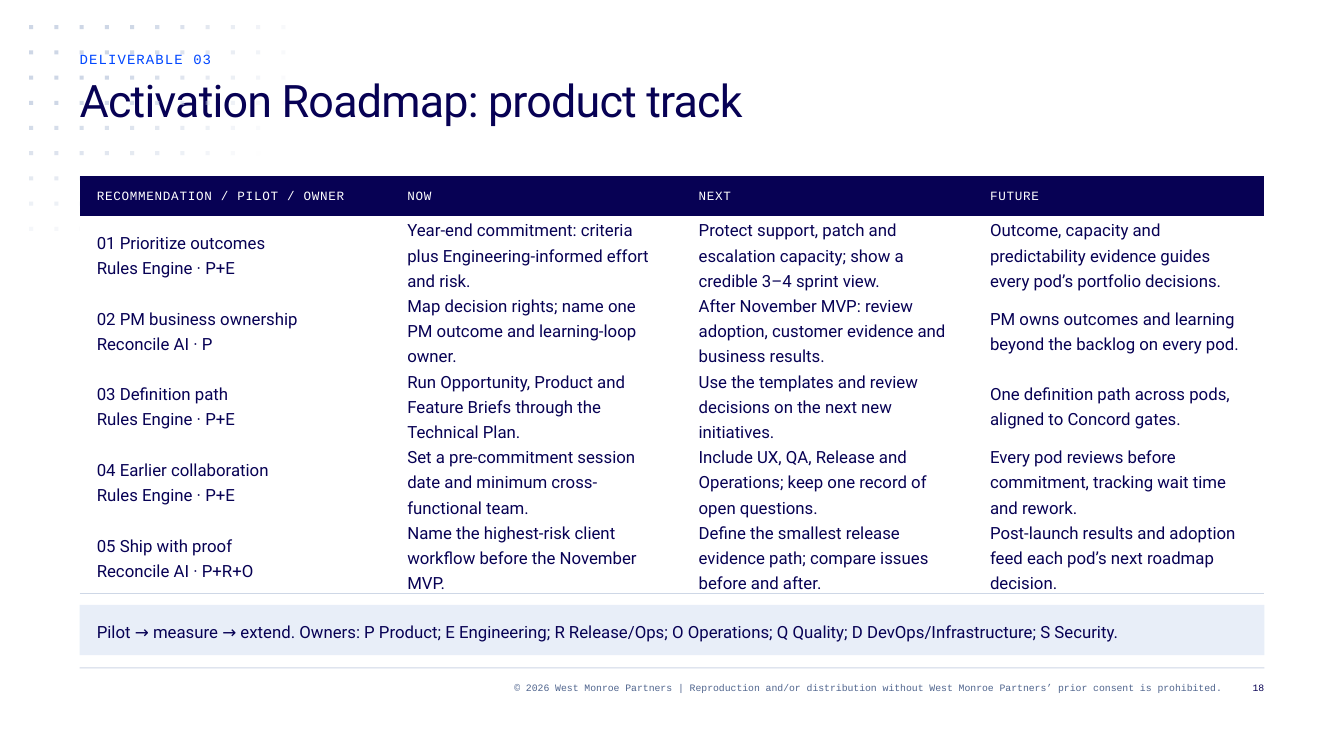
from dataclasses import dataclass
from math import hypot

from lxml.etree import SubElement
from pptx import Presentation
from pptx.dml.color import RGBColor
from pptx.enum.shapes import MSO_SHAPE
from pptx.enum.text import MSO_ANCHOR, MSO_AUTO_SIZE, PP_ALIGN
from pptx.oxml import parse_xml
from pptx.oxml.ns import nsdecls, qn
from pptx.util import Inches, Pt


@dataclass(frozen=True)
class TextStyle:
    """Describe the type used for one kind of text."""
    font: str
    size: float
    leading: float
    color: str
    spacing: int = 0


@dataclass(frozen=True)
class Theme:
    """Hold the colours and type sizes of the slide."""
    navy: str = "070154"
    rule: str = "CED7E6"
    pale: str = "E8EEF8"
    white: str = "FFFFFF"
    title: TextStyle = TextStyle("Roboto", 32, 36, "070154", -60)
    kicker: TextStyle = TextStyle("Courier New", 10, 12, "0047FF", 80)
    header: TextStyle = TextStyle("Courier New", 9, 12, "FFFFFF", 50)
    body: TextStyle = TextStyle("Roboto", 12, 18, "070154")
    footer: TextStyle = TextStyle("Courier New", 7, 9, "50658E")
    number: TextStyle = TextStyle("Courier New", 7, 9, "070154")


THEME = Theme()
PADDING = 0.17

HEADINGS = ["RECOMMENDATION / PILOT / OWNER", "NOW", "NEXT", "FUTURE"]
ROADMAP = [
    ["01 Prioritize outcomes\nRules Engine · P+E",
     "Year-end commitment: criteria plus Engineering-informed effort and risk.",
     "Protect support, patch and escalation capacity; show a credible 3–4 sprint view.",
     "Outcome, capacity and predictability evidence guides every pod’s portfolio decisions."],
    ["02 PM business ownership\nReconcile AI · P",
     "Map decision rights; name one PM outcome and learning-loop owner.",
     "After November MVP: review adoption, customer evidence and business results.",
     "PM owns outcomes and learning beyond the backlog on every pod."],
    ["03 Definition path\nRules Engine · P+E",
     "Run Opportunity, Product and Feature Briefs through the Technical Plan.",
     "Use the templates and review decisions on the next new initiatives.",
     "One definition path across pods, aligned to Concord gates."],
    ["04 Earlier collaboration\nRules Engine · P+E",
     "Set a pre-commitment session date and minimum cross-functional team.",
     "Include UX, QA, Release and Operations; keep one record of open questions.",
     "Every pod reviews before commitment, tracking wait time and rework."],
    ["05 Ship with proof\nReconcile AI · P+R+O",
     "Name the highest-risk client workflow before the November MVP.",
     "Define the smallest release evidence path; compare issues before and after.",
     "Post-launch results and adoption feed each pod’s next roadmap decision."],
]
OWNERS = ("Pilot → measure → extend. Owners: P Product; E Engineering; R Release/Ops; "
          "O Operations; Q Quality; D DevOps/Infrastructure; S Security.")
COPYRIGHT = ("© 2026 West Monroe Partners | Reproduction and/or distribution without "
             "West Monroe Partners’ prior consent is prohibited.")


def write(text_frame, text, style, align=PP_ALIGN.LEFT):
    """Fill a text frame and format its runs in the given style."""
    text_frame.text = text
    text_frame.word_wrap = True
    for paragraph in text_frame.paragraphs:
        paragraph.alignment = align
        paragraph.line_spacing = Pt(style.leading)
        paragraph.space_before = Pt(0)
        for run in paragraph.runs:
            run.font.name = style.font
            run.font.size = Pt(style.size)
            run.font.color.rgb = RGBColor.from_string(style.color)
            run._r.get_or_add_rPr().set("spc", str(style.spacing))


def set_margins(target, left=0, top=0):
    """Set equal side margins and a top margin, with none at the bottom."""
    target.margin_left = target.margin_right = Inches(left)
    target.margin_top = Inches(top)
    target.margin_bottom = 0


def add_label(slide, left, top, width, height, text, style, align=PP_ALIGN.LEFT):
    """Add a text box without margins."""
    label = slide.shapes.add_textbox(Inches(left), Inches(top), Inches(width), Inches(height))
    set_margins(label.text_frame)
    write(label.text_frame, text, style, align)


def add_block(slide, left, top, width, height, color):
    """Add a plain filled rectangle and return it."""
    block = slide.shapes.add_shape(
        MSO_SHAPE.RECTANGLE, Inches(left), Inches(top), Inches(width), Inches(height))
    block.shadow.inherit = False
    block.fill.solid()
    block.fill.fore_color.rgb = RGBColor.from_string(color)
    block.line.fill.background()
    return block


def add_dot_field(slide, left, top):
    """Scatter a grid of dots that fades with distance from its corner."""
    pitch, dot_size = 0.25, 0.04
    for column in range(11):
        for row in range(9):
            opacity = min(1, 1.53 - hypot(column / 7.2, row / 5.95))
            if opacity < 0.02:
                continue
            dot = add_block(slide, left + column * pitch, top + row * pitch,
                            dot_size, dot_size, THEME.rule)
            if opacity < 1:
                color = dot.fill._xPr.find(qn("a:solidFill"))[0]
                SubElement(color, qn("a:alpha")).set("val", str(round(opacity * 100) * 1000))


def add_heading(slide, left, top, width):
    """Place the kicker and, beneath it, the title."""
    add_label(slide, left, top, width, 0.25, "DELIVERABLE 03", THEME.kicker)
    title = slide.shapes.title
    title.left, title.top = Inches(left), Inches(top + 0.25)
    title.width, title.height = Inches(width), Inches(1)
    title.text_frame.auto_size = MSO_AUTO_SIZE.NONE
    title.text_frame.vertical_anchor = MSO_ANCHOR.TOP
    set_margins(title.text_frame)
    write(title.text_frame, "Activation Roadmap: product track", THEME.title)


def set_borders(cell, bottom_color=None):
    """Clear the cell borders, keeping a thin bottom rule if a colour is given."""
    properties = cell._tc.get_or_add_tcPr()
    for index, side in enumerate(["lnL", "lnR", "lnT", "lnB"]):
        if side == "lnB" and bottom_color:
            paint = f'<a:solidFill><a:srgbClr val="{bottom_color}"/></a:solidFill>'
        else:
            paint = "<a:noFill/>"
        properties.insert(index, parse_xml(
            f'<a:{side} {nsdecls("a")} w="{Pt(0.75)}">{paint}</a:{side}>'))


def add_roadmap(slide, left, top, width):
    """Build the roadmap table with a dark header row."""
    first_width, header_height, row_height = 3.08, 0.39, 0.75
    rows = [HEADINGS] + ROADMAP
    height = header_height + row_height * len(ROADMAP)
    table = slide.shapes.add_table(len(rows), len(HEADINGS), Inches(left), Inches(top),
                                   Inches(width), Inches(height)).table
    table.horz_banding = False
    other_width = (width - first_width) / (len(HEADINGS) - 1)
    for index, column in enumerate(table.columns):
        column.width = Inches(other_width if index else first_width)
    for row_index, texts in enumerate(rows):
        table.rows[row_index].height = Inches(row_height if row_index else header_height)
        for column_index, text in enumerate(texts):
            cell = table.cell(row_index, column_index)
            set_margins(cell, PADDING)
            cell.vertical_anchor = MSO_ANCHOR.MIDDLE
            write(cell.text_frame, text, THEME.body if row_index else THEME.header)
            cell.fill.solid()
            cell.fill.fore_color.rgb = RGBColor.from_string(
                THEME.white if row_index else THEME.navy)
            set_borders(cell, THEME.rule if row_index else None)


def add_owner_note(slide, left, top, width):
    """Add the shaded band that explains the owner letters."""
    band = add_block(slide, left, top, width, 0.5, THEME.pale)
    band.text_frame.vertical_anchor = MSO_ANCHOR.TOP
    set_margins(band.text_frame, PADDING, 0.12)
    write(band.text_frame, OWNERS, THEME.body)


def add_footer(slide, left, top, width):
    """Add the rule, copyright line and slide number."""
    right, text_top = left + width, top + 0.13
    add_block(slide, left, top, width, 0.01, THEME.rule)
    add_label(slide, right - 10.17, text_top, 9.75, 0.25, COPYRIGHT, THEME.footer, PP_ALIGN.RIGHT)
    add_label(slide, right - 0.33, text_top, 0.33, 0.25, "18", THEME.number, PP_ALIGN.RIGHT)


def main():
    """Build and save the slide."""
    presentation = Presentation()
    presentation.slide_width, presentation.slide_height = Inches(13.33), Inches(7.5)
    slide = presentation.slides.add_slide(presentation.slide_layouts[5])
    left, width = 0.79, 11.75
    add_dot_field(slide, 0.29, 0.25)
    add_footer(slide, left, 6.62, width)
    add_roadmap(slide, left, 1.75, width)
    add_owner_note(slide, left, 6, width)
    add_heading(slide, left, 0.5, 10.25)
    presentation.save("out.pptx")


if __name__ == "__main__":
    main()
